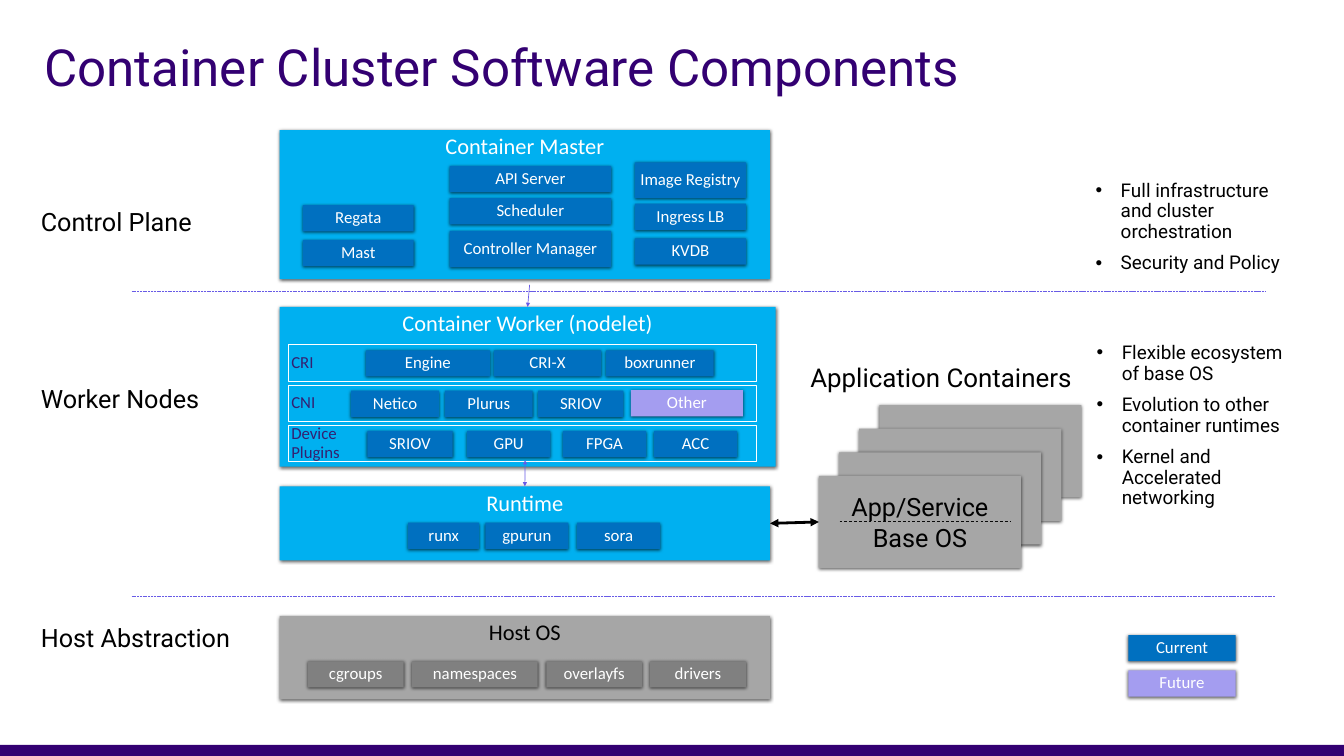
from pptx import Presentation
from pptx.dml.color import RGBColor
from pptx.enum.dml import MSO_LINE
from pptx.enum.shapes import MSO_CONNECTOR, MSO_SHAPE
from pptx.enum.text import MSO_ANCHOR, MSO_AUTO_SIZE, PP_ALIGN
from pptx.oxml.ns import qn
from pptx.util import Inches, Pt
from lxml.etree import SubElement

CELL = Inches(0.1)
COLUMNS, ROWS = 266.7, 150
CHIP_HEIGHT = 5.2
CYAN, BLUE, LILAC, VIOLET = "00B0F0", "0070C0", "A49DF0", "685BE6"
GRAY, DARK_GRAY, WHITE, BLACK = "A6A6A6", "808080", "FFFFFF", "000000"
INDIGO, PURPLE = "342071", "330072"


def color(value):
    return RGBColor.from_string(value)


def grid(*cells):
    return [round(cell * CELL) for cell in cells]


def write(shape, text, size, font, text_color, align=PP_ALIGN.LEFT,
          anchor=MSO_ANCHOR.TOP, inset=0.5, spacing=0.9, wrap=True):
    frame = shape.text_frame
    frame.text = text
    frame.word_wrap = wrap
    frame.auto_size = MSO_AUTO_SIZE.NONE
    frame.vertical_anchor = anchor
    frame.margin_left, frame.margin_top, frame.margin_right, frame.margin_bottom = grid(*[inset] * 4)
    for paragraph in frame.paragraphs:
        paragraph.alignment = align
        paragraph.line_spacing = spacing
        for run in paragraph.runs:
            run.font.size = Pt(size)
            run.font.name = font
            run.font.color.rgb = color(text_color)


def add_box(slide, cells, fill=None, outline=None, shadow=True):
    shape = slide.shapes.add_shape(MSO_SHAPE.RECTANGLE, *grid(*cells))
    shape.shadow.inherit = False
    if fill:
        shape.fill.solid()
        shape.fill.fore_color.rgb = color(fill)
    else:
        shape.fill.background()
    if outline:
        shape.line.color.rgb = color(outline)
        shape.line.width = Pt(0.75)
    else:
        shape.line.fill.background()
    if shadow:
        effects = shape.element.spPr.find(qn("a:effectLst"))
        outer = SubElement(effects, qn("a:outerShdw"), blurRad=str(Pt(5)),
                           dist=str(Pt(1.5)), dir="5400000", rotWithShape="0")
        shade = SubElement(outer, qn("a:srgbClr"), val=BLACK)
        SubElement(shade, qn("a:alpha"), val="63000")
    return shape


def add_panel(slide, heading, cells, fill=CYAN, text_color=WHITE):
    panel = add_box(slide, cells, fill)
    write(panel, heading, 32, "Calibri", text_color, PP_ALIGN.CENTER, spacing=1)
    return panel


def add_chip(slide, text, left, top, width, height=CHIP_HEIGHT, fill=BLUE):
    chip = add_box(slide, (left, top, width, height), fill)
    write(chip, text, 24, "Calibri", WHITE, PP_ALIGN.CENTER, MSO_ANCHOR.MIDDLE)


def add_chip_row(slide, top, chips, fill=BLUE):
    for text, left, width in chips:
        add_chip(slide, text, left, top, width, fill=fill)


def add_plugin_row(slide, text, top, chips):
    row = add_box(slide, (57.3, top, 92.7, 7.2), outline=WHITE, shadow=False)
    write(row, text, 24, "Calibri", INDIGO, anchor=MSO_ANCHOR.MIDDLE)
    add_chip_row(slide, top + 1.1, chips)


def add_label(slide, text, left, top, width, size=36):
    label = slide.shapes.add_textbox(*grid(left, top, width, 8.5))
    write(label, text, size, "Roboto", BLACK, inset=1.3, wrap=False)


def add_line(slide, start, end, line_color, width=1, dash=None, heads=()):
    line = slide.shapes.add_connector(MSO_CONNECTOR.STRAIGHT, *grid(*start, *end))
    line.line.color.rgb = color(line_color)
    line.line.width = Pt(width)
    if dash:
        line.line.dash_style = dash
    properties = line.element.spPr
    for head in heads:
        SubElement(properties.find(qn("a:ln")), qn(head), type="triangle")
    SubElement(properties, qn("a:effectLst"))
    return line


def place(placeholder, cells):
    placeholder.left, placeholder.top, placeholder.width, placeholder.height = grid(*cells)


def fill_list(placeholder, items, cells):
    place(placeholder, cells)
    write(placeholder, "\n".join(items), 27, "Roboto", BLACK, inset=1.3)
    for paragraph in placeholder.text_frame.paragraphs:
        paragraph.space_before = Pt(16)
        properties = paragraph._p.get_or_add_pPr()
        properties.set("marL", str(Inches(0.5)))
        properties.set("indent", str(-Inches(0.5)))
        SubElement(properties, qn("a:buChar"), char="•")


def add_control_plane(slide):
    add_panel(slide, "Container Master", (55.5, 25.8, 97.3, 29.6))
    columns = [
        (60.1, 22, [("Regata", 40.7, CHIP_HEIGHT), ("Mast", 47.6, CHIP_HEIGHT)]),
        (89.2, 32.1, [("API Server", 32.9, CHIP_HEIGHT), ("Scheduler", 39.3, CHIP_HEIGHT),
                      ("Controller Manager", 45.8, 7.2)]),
        (126, 22, [("Image Registry", 32.2, 7.1), ("Ingress LB", 40.4, CHIP_HEIGHT),
                   ("KVDB", 47.3, CHIP_HEIGHT)]),
    ]
    for left, width, chips in columns:
        for text, top, height in chips:
            add_chip(slide, text, left, top, width, height)


def add_worker(slide):
    worker = add_panel(slide, "Container Worker (nodelet)", (55.5, 60.9, 98.4, 31.7))
    add_plugin_row(slide, "CRI", 68.4, [("Engine", 72.6, 24.6), ("CRI-X", 98, 21.3),
                                        ("boxrunner", 120.3, 21.3)])
    add_plugin_row(slide, "CNI", 76.4, [("Netico", 69.7, 17.4), ("Plurus", 88.3, 17.4),
                                        ("SRIOV", 106.8, 16.9)])
    add_chip(slide, "Other", 125.2, 77.4, 22.2, fill=LILAC)
    add_plugin_row(slide, "Device\nPlugins", 84.4, [("SRIOV", 72.9, 16.9), ("GPU", 92.7, 16.5),
                                                    ("FPGA", 111.7, 16.5), ("ACC", 129.8, 16.5)])
    return worker


def add_runtime(slide):
    runtime = add_panel(slide, "Runtime", (55.5, 96.5, 97.3, 14.7))
    add_chip_row(slide, 103.7, [("runx", 81, 14.1), ("gpurun", 96.3, 16.5), ("sora", 114.5, 16.5)])
    return runtime


def add_host(slide):
    add_panel(slide, "Host OS", (55.5, 122.2, 97.3, 16.5), GRAY, BLACK)
    add_chip_row(slide, 131.2, [("cgroups", 61.1, 19), ("namespaces", 81.8, 24.9),
                                ("overlayfs", 108.4, 19), ("drivers", 129, 19)], DARK_GRAY)


def add_application_stack(slide):
    for layer in range(4):
        front = add_box(slide, (174.5 - 4 * layer, 80.4 + 4.67 * layer, 40.1, 18.3), GRAY)
    write(front, "App/Service\nBase OS", 36, "Roboto", BLACK, PP_ALIGN.CENTER,
          MSO_ANCHOR.MIDDLE, spacing=1)
    add_line(slide, (166.6, 103.4), (200.5, 103.4), "090909", dash=MSO_LINE.DASH)
    return front


def main():
    presentation = Presentation()
    presentation.slide_width, presentation.slide_height = grid(COLUMNS, ROWS)
    slide = presentation.slides.add_slide(presentation.slide_layouts[3])
    title, control_list, worker_list = slide.placeholders
    place(title, (7.8, -0.6, 230, 29))
    write(title, "Container Cluster Software Components", 73, "Roboto", PURPLE,
          anchor=MSO_ANCHOR.MIDDLE, inset=1)
    fill_list(control_list, ["Full infrastructure and cluster orchestration", "Security and Policy"],
              (216.1, 34.6, 43, 21.3))
    fill_list(worker_list, ["Flexible ecosystem of base OS", "Evolution to other container runtimes",
                            "Kernel and Accelerated networking"], (216.3, 66.8, 42.6, 35.6))
    add_box(slide, (0, 147.8, COLUMNS, 2.2), PURPLE, shadow=False)

    for text, top in (("Control Plane", 40.4), ("Worker Nodes", 75.4), ("Host Abstraction", 122.8)):
        add_label(slide, text, 6.8, top, 40.7)
    add_label(slide, "Application Containers", 159.5, 71.2, 55.1, 37)
    for top, right in ((57.9, 251.3), (118.3, 253.1)):
        add_line(slide, (26.1, top), (right, top), VIOLET, dash=MSO_LINE.SQUARE_DOT)

    add_control_plane(slide)
    worker = add_worker(slide)
    runtime = add_runtime(slide)
    add_host(slide)
    application = add_application_stack(slide)

    both = ("a:headEnd", "a:tailEnd")
    to_worker = add_line(slide, (105.1, 56.5), (104.7, 60.9), VIOLET, heads=both[1:])
    to_worker.end_connect(worker, 0)
    to_runtime = add_line(slide, (104.2, 91.3), (104.2, 96.5), VIOLET, heads=both)
    to_runtime.end_connect(runtime, 0)
    to_application = add_line(slide, (152.8, 103.9), (162.5, 103.9), BLACK, 4, heads=both)
    to_application.begin_connect(runtime, 3)
    to_application.end_connect(application, 1)

    add_chip(slide, "Current", 223.9, 126, 21.3)
    add_chip(slide, "Future", 223.9, 133, 21.3, fill=LILAC)
    presentation.save("out.pptx")


if __name__ == "__main__":
    main()
